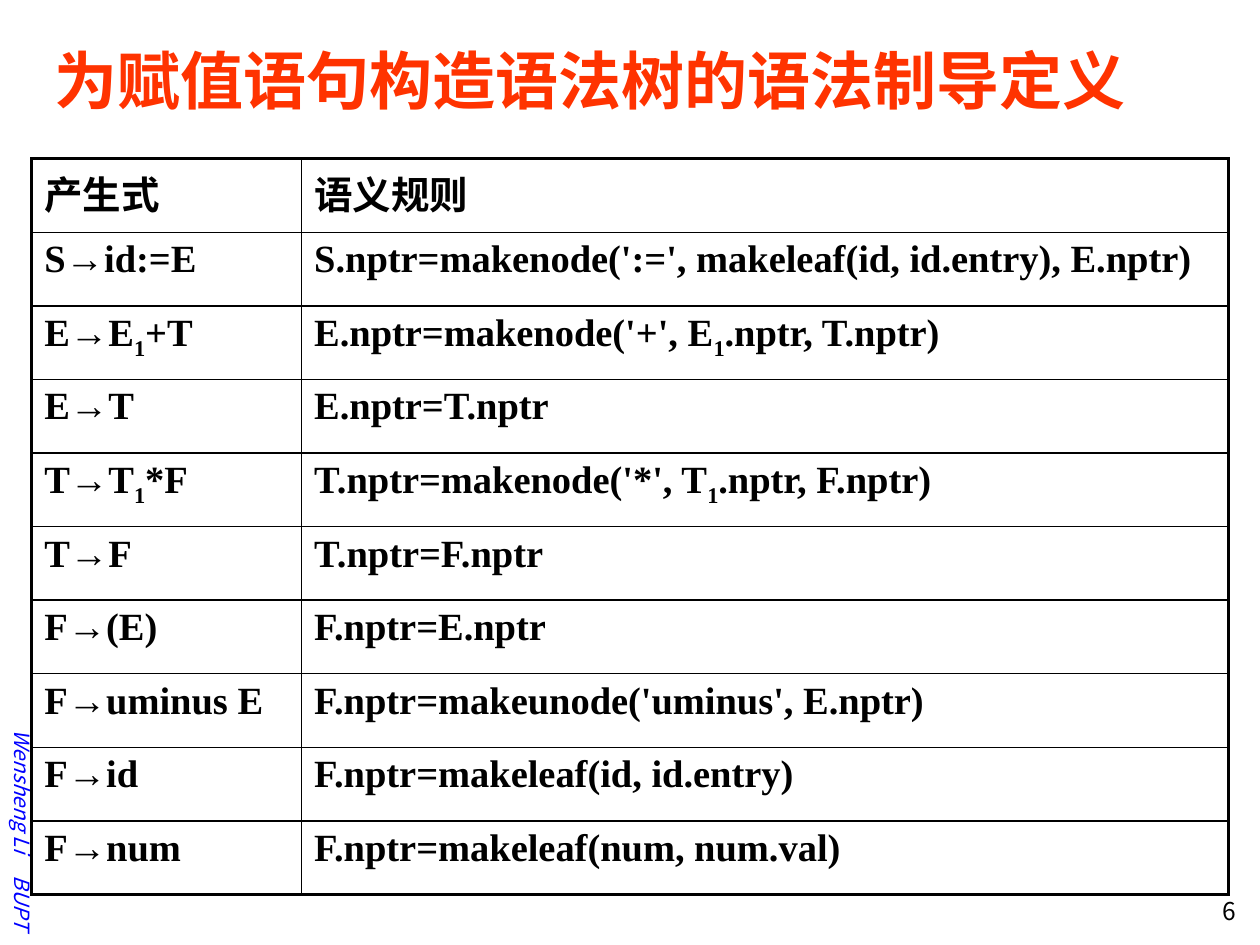
from dataclasses import dataclass

from pptx import Presentation
from pptx import util as u
from pptx.dml.color import RGBColor
from pptx.enum import text
from pptx.oxml.ns import qn
from lxml import etree

BLACK = RGBColor(0x00, 0x00, 0x00)
BLUE = RGBColor(0x00, 0x00, 0xFF)
ORANGE_RED = RGBColor(0xFF, 0x33, 0x00)
SANS = "Noto Sans CJK SC"
SERIF = "Times New Roman"
THIN, THICK = 1, 2.25
SUBSCRIPT = "_1"


@dataclass
class Rule:
    """A table row; "_1" in its text marks a subscript 1."""
    production: str
    semantics: str


RULES = [
    Rule("产生式", "语义规则"),
    Rule("S→id:=E", "S.nptr=makenode(':=', makeleaf(id, id.entry), E.nptr)"),
    Rule("E→E_1+T", "E.nptr=makenode('+', E_1.nptr, T.nptr)"),
    Rule("E→T", "E.nptr=T.nptr"),
    Rule("T→T_1*F", "T.nptr=makenode('*', T_1.nptr, F.nptr)"),
    Rule("T→F", "T.nptr=F.nptr"),
    Rule("F→(E)", "F.nptr=E.nptr"),
    Rule("F→uminus E", "F.nptr=makeunode('uminus', E.nptr)"),
    Rule("F→id", "F.nptr=makeleaf(id, id.entry)"),
    Rule("F→num", "F.nptr=makeleaf(num, num.val)"),
]


def style_run(run, face: str, size: float, color: RGBColor,
              bold: bool = False, italic: bool = False) -> None:
    font = run.font
    font.name, font.size = face, u.Pt(size)
    font.bold, font.italic = bold, italic
    font.color.rgb = color
    if face == SANS:
        latin = run._r.get_or_add_rPr().find(qn("a:latin"))
        east_asian = etree.Element(qn("a:ea"), typeface=face)
        latin.addnext(east_asian)


def place(shape, left: float, top: float, width: float, height: float) -> None:
    shape.left, shape.top = u.Cm(left), u.Cm(top)
    shape.width, shape.height = u.Cm(width), u.Cm(height)


def write_cell(cell, content: str) -> None:
    paragraph = cell.text_frame.paragraphs[0]
    before, mark, after = content.partition(SUBSCRIPT)
    for part in filter(None, (before, mark, after)):
        run = paragraph.add_run()
        run.text = part.lstrip("_")
        style_run(run, SERIF, 22, BLACK, bold=True)
        if part == SUBSCRIPT:
            run._r.get_or_add_rPr().set("baseline", "-25000")


def set_borders(cell, widths: dict[str, float]) -> None:
    """Draw the cell's sides, given in the schema order L, R, T, B."""
    properties = cell._tc.get_or_add_tcPr()
    for position, (side, width) in enumerate(widths.items()):
        line = etree.Element(qn(f"a:ln{side}"), w=str(u.Pt(width)))
        fill = etree.SubElement(line, qn("a:solidFill"))
        etree.SubElement(fill, qn("a:srgbClr"), val=str(BLACK))
        properties.insert(position, line)


def add_title(slide) -> None:
    title = slide.shapes.title
    place(title, 0.84, 0.43, 23.93, 2.34)
    frame = title.text_frame
    frame.text = "为赋值语句构造语法树的语法制导定义"
    frame.vertical_anchor = text.MSO_ANCHOR.MIDDLE
    frame.auto_size = text.MSO_AUTO_SIZE.NONE
    frame.paragraphs[0].alignment = text.PP_ALIGN.LEFT
    style_run(frame.paragraphs[0].runs[0], SANS, 36, ORANGE_RED, bold=True)


def add_rules_table(slide) -> None:
    table = slide.shapes.add_table(
        len(RULES), 2, u.Cm(0.64), u.Cm(3.2), u.Cm(24.13), u.Cm(14.83)).table
    table.first_row = table.horz_banding = False
    table.columns[0].width, table.columns[1].width = u.Cm(5.44), u.Cm(18.69)
    last = len(RULES) - 1
    for row, rule in enumerate(RULES):
        for column, content in enumerate((rule.production, rule.semantics)):
            cell = table.cell(row, column)
            cell.fill.background()
            write_cell(cell, content)
            set_borders(cell, {
                "L": THICK if column == 0 else THIN,
                "R": THICK if column == 1 else THIN,
                "T": THICK if row == 0 else THIN,
                "B": THICK if row == last else THIN,
            })


def add_author(slide) -> None:
    author = slide.shapes.add_textbox(0, 0, 0, 0)
    place(author, -2.9, 15.24, 6.71, 0.76)
    author.rotation = 90
    frame = author.text_frame
    frame.word_wrap = True
    frame.vertical_anchor = text.MSO_ANCHOR.MIDDLE
    frame.margin_left = u.Cm(2.44)
    frame.margin_right = frame.margin_top = frame.margin_bottom = 0
    paragraph = frame.paragraphs[0]
    paragraph.text = "Wensheng Li\tBUPT"
    tabs = etree.SubElement(paragraph._p.get_or_add_pPr(), qn("a:tabLst"))
    etree.SubElement(tabs, qn("a:tab"), pos=str(u.Cm(2.95)), algn="l")
    for run in paragraph.runs:
        style_run(run, SANS, 12, BLUE, italic=True)


def add_page_number(slide) -> None:
    number = slide.shapes.add_textbox(0, 0, 0, 0)
    place(number, 23.06, 17.93, 2.11, 0.91)
    frame = number.text_frame
    frame.word_wrap = True
    frame.text = "6"
    frame.paragraphs[0].alignment = text.PP_ALIGN.RIGHT
    style_run(frame.paragraphs[0].runs[0], SANS, 14, BLACK)


def main() -> None:
    deck = Presentation()
    deck.slide_width, deck.slide_height = u.Cm(25.4), u.Cm(19.05)
    slide = deck.slides.add_slide(deck.slide_layouts.get_by_name("Title Only"))
    add_author(slide)
    add_page_number(slide)
    add_title(slide)
    add_rules_table(slide)
    deck.save("out.pptx")


if __name__ == "__main__":
    main()
